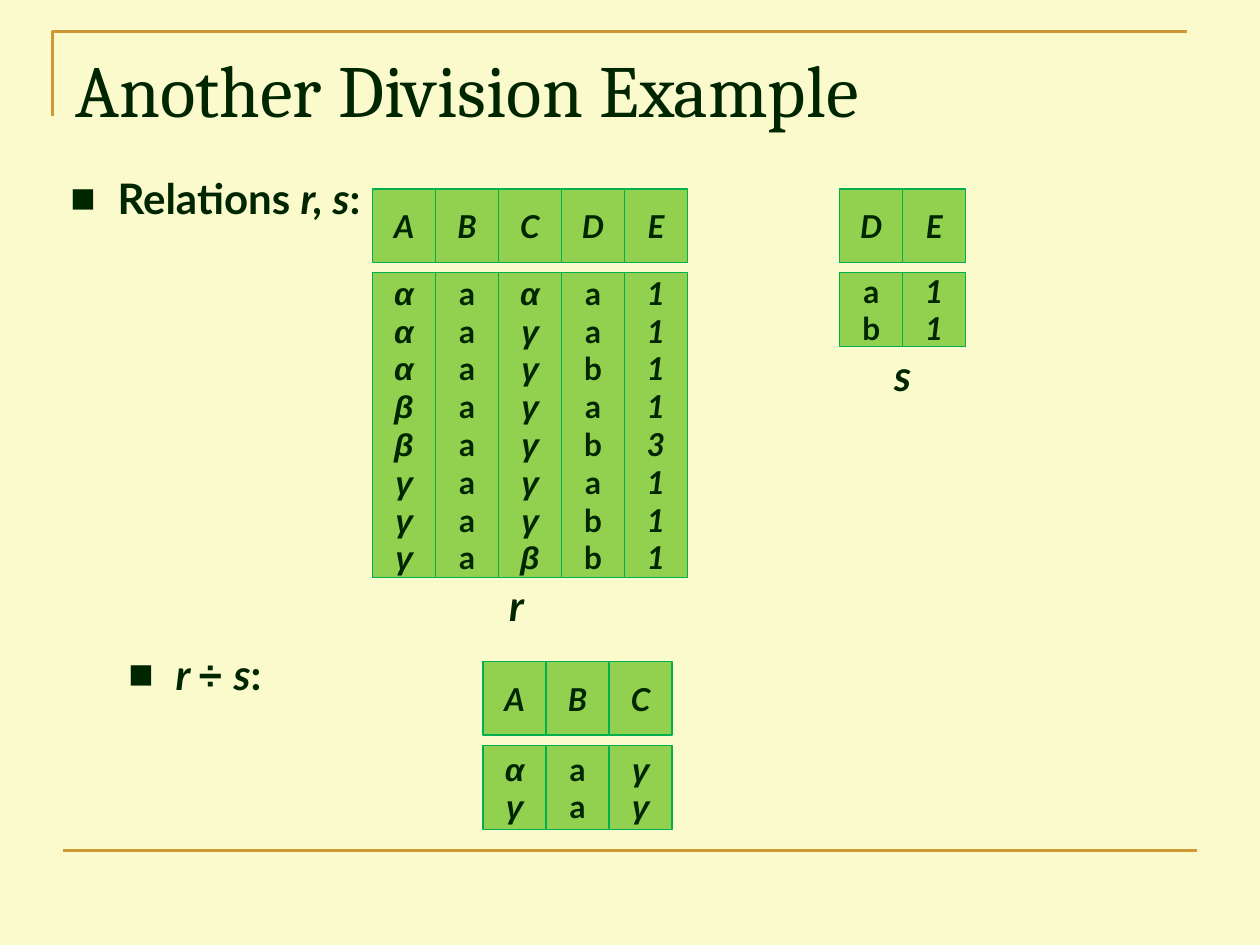
import dataclasses

import lxml.etree
import pptx
import pptx.dml.color
import pptx.enum.shapes
import pptx.enum.text
import pptx.oxml.ns
import pptx.util

Cm = pptx.util.Cm
Pt = pptx.util.Pt
CENTER = pptx.enum.text.PP_ALIGN.CENTER
MIDDLE = pptx.enum.text.MSO_ANCHOR.MIDDLE

COLORS = {
    "page": "FAFACC",
    "text": "002600",
    "rule": "CC9933",
    "cell": "92D050",
    "border": "00B050",
}
CELL_WIDTH = 1.27
HEADER_HEIGHT = 1.48
BODY_OFFSET = 1.69


@dataclasses.dataclass
class Relation:
    left: float
    top: float
    body_height: float
    columns: dict[str, str]  # attribute name -> one character per row


@dataclasses.dataclass
class Span:
    text: str
    italic: bool = False
    font: str = "Lato"


@dataclasses.dataclass
class Bullet:
    left: float
    top: float
    width: float
    height: float
    spans: list[Span]


@dataclasses.dataclass
class Caption:
    text: str
    left: float
    top: float
    width: float


RELATIONS = [
    Relation(7.51, 3.81, 6.14, {
        "A": "αααββγγγ",
        "B": "aaaaaaaa",
        "C": "αγγγγγγβ",
        "D": "aababab" "b",
        "E": "11113111",
    }),
    Relation(16.93, 3.81, HEADER_HEIGHT, {"D": "ab", "E": "11"}),
    Relation(9.74, 13.34, 1.69, {"A": "αγ", "B": "aa", "C": "γγ"}),
]
RELATIONS[0].columns["D"] = "aabababb"

BULLETS = [
    Bullet(1.17, 3.35, 6.35, 1.93,
           [Span("Relations "), Span("r, s", True), Span(":")]),
    Bullet(2.34, 12.95, 3.61, 0.91,
           [Span("r ", True), Span("÷ ", font="Arial"), Span("s", True), Span(":")]),
]
CAPTIONS = [Caption("r", 9.96, 11.56, 0.91), Caption("s", 17.7, 6.91, 0.99)]


def rgb(name: str) -> pptx.dml.color.RGBColor:
    return pptx.dml.color.RGBColor.from_string(COLORS[name])


def format_run(run, size: float, font: str = "Lato", bold: bool = True,
               italic: bool = False) -> None:
    run.font.name = font
    run.font.size = Pt(size)
    run.font.bold = bold
    run.font.italic = italic
    run.font.color.rgb = rgb("text")


def draw_cell(page, left: float, top: float, height: float, values: str) -> None:
    """Draw one rectangle with a centred line for each character of values."""
    box = page.shapes.add_shape(
        pptx.enum.shapes.MSO_SHAPE.RECTANGLE,
        Cm(left), Cm(top), Cm(CELL_WIDTH), Cm(height))
    box.shadow.inherit = False
    box.fill.solid()
    box.fill.fore_color.rgb = rgb("cell")
    box.line.color.rgb = rgb("border")
    box.line.width = Pt(0.75)
    frame = box.text_frame
    frame.word_wrap = False
    frame.vertical_anchor = MIDDLE
    frame.text = "\n".join(values)
    for para in frame.paragraphs:
        greek = para.text in "αβγ"
        para.alignment = CENTER
        if greek:
            para.line_spacing = Pt(21.6)  # same row pitch as the Lato columns
        format_run(para.runs[0], 18, "Arial" if greek else "Lato",
                   italic=para.text not in "ab")


def draw_relation(page, relation: Relation) -> None:
    for index, (name, values) in enumerate(relation.columns.items()):
        left = relation.left + index * CELL_WIDTH
        draw_cell(page, left, relation.top, HEADER_HEIGHT, name)
        draw_cell(page, left, relation.top + BODY_OFFSET, relation.body_height, values)


def draw_bullet(page, bullet: Bullet) -> None:
    box = page.shapes.add_textbox(
        Cm(bullet.left), Cm(bullet.top), Cm(bullet.width), Cm(bullet.height))
    box.text_frame.word_wrap = True
    para = box.text_frame.paragraphs[0]
    para.space_before = Pt(8.4)
    for span in bullet.spans:
        run = para.add_run()
        run.text = span.text
        format_run(run, 24, span.font, italic=span.italic)
    add_marker(para)


def add_marker(para) -> None:
    """Give a paragraph a hanging square bullet."""
    qn = pptx.oxml.ns.qn
    properties = para._p.get_or_add_pPr()
    properties.set("marL", str(Cm(0.95)))
    properties.set("indent", str(Cm(-0.95)))
    color = lxml.etree.SubElement(properties, qn("a:buClr"))
    lxml.etree.SubElement(color, qn("a:srgbClr"), val=COLORS["text"])
    lxml.etree.SubElement(properties, qn("a:buFont"), typeface="Arial")
    lxml.etree.SubElement(properties, qn("a:buChar"), char="■")


def draw_caption(page, caption: Caption) -> None:
    box = page.shapes.add_textbox(
        Cm(caption.left), Cm(caption.top), Cm(caption.width), Cm(1.27))
    frame = box.text_frame
    frame.word_wrap = False
    frame.vertical_anchor = MIDDLE
    frame.text = caption.text
    para = frame.paragraphs[0]
    para.alignment = CENTER
    para.space_before = Pt(12)
    format_run(para.runs[0], 24, italic=True)


def draw_frame(page) -> None:
    """Draw the corner rule above the title and the rule at the foot."""
    builder = page.shapes.build_freeform(Cm(1.06), Cm(2.33))
    builder.add_line_segments(
        [(Cm(1.06), Cm(0.63)), (Cm(23.92), Cm(0.63))], close=False)
    corner = builder.convert_to_shape()
    corner.shadow.inherit = False
    corner.fill.background()
    foot = page.shapes.add_connector(
        pptx.enum.shapes.MSO_CONNECTOR.STRAIGHT,
        Cm(1.27), Cm(17.15), Cm(24.13), Cm(17.15))
    lxml.etree.SubElement(foot._element.spPr, pptx.oxml.ns.qn("a:effectLst"))
    for rule in (corner, foot):
        rule.line.color.rgb = rgb("rule")
        rule.line.width = Pt(1.5)


def format_title(title) -> None:
    title.left, title.top = Cm(1.27), Cm(0.76)
    title.width, title.height = Cm(22.86), Cm(3.18)
    frame = title.text_frame
    frame.text = "Another Division Example"
    frame.auto_size = pptx.enum.text.MSO_AUTO_SIZE.NONE
    frame.vertical_anchor = pptx.enum.text.MSO_ANCHOR.TOP
    para = frame.paragraphs[0]
    para.alignment = pptx.enum.text.PP_ALIGN.LEFT
    format_run(para.runs[0], 42, "Cambria", bold=False)


def main() -> None:
    deck = pptx.Presentation()
    deck.slide_width, deck.slide_height = Cm(25.4), Cm(19.05)
    page = deck.slides.add_slide(deck.slide_layouts[5])
    page.background.fill.solid()
    page.background.fill.fore_color.rgb = rgb("page")
    draw_frame(page)
    format_title(page.shapes.title)
    for relation in RELATIONS:
        draw_relation(page, relation)
    for bullet in BULLETS:
        draw_bullet(page, bullet)
    for caption in CAPTIONS:
        draw_caption(page, caption)
    deck.save("out.pptx")


if __name__ == "__main__":
    main()
